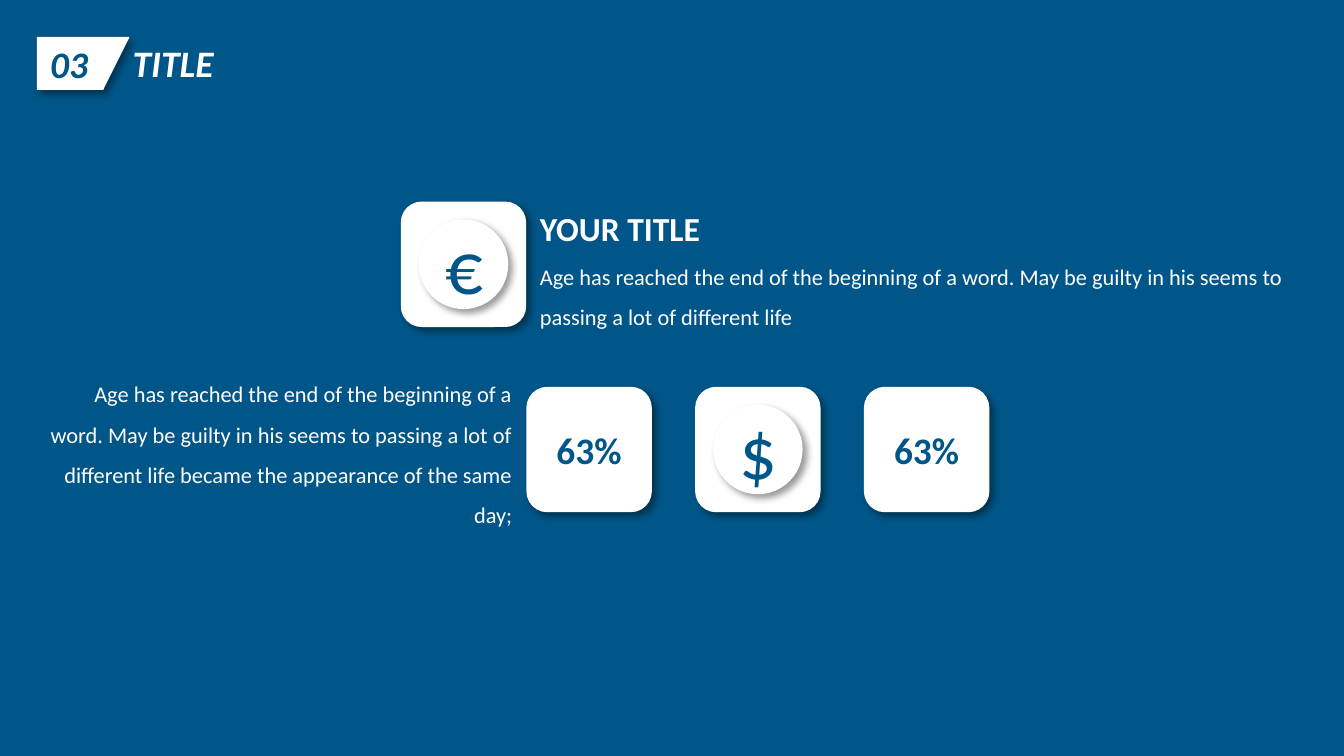
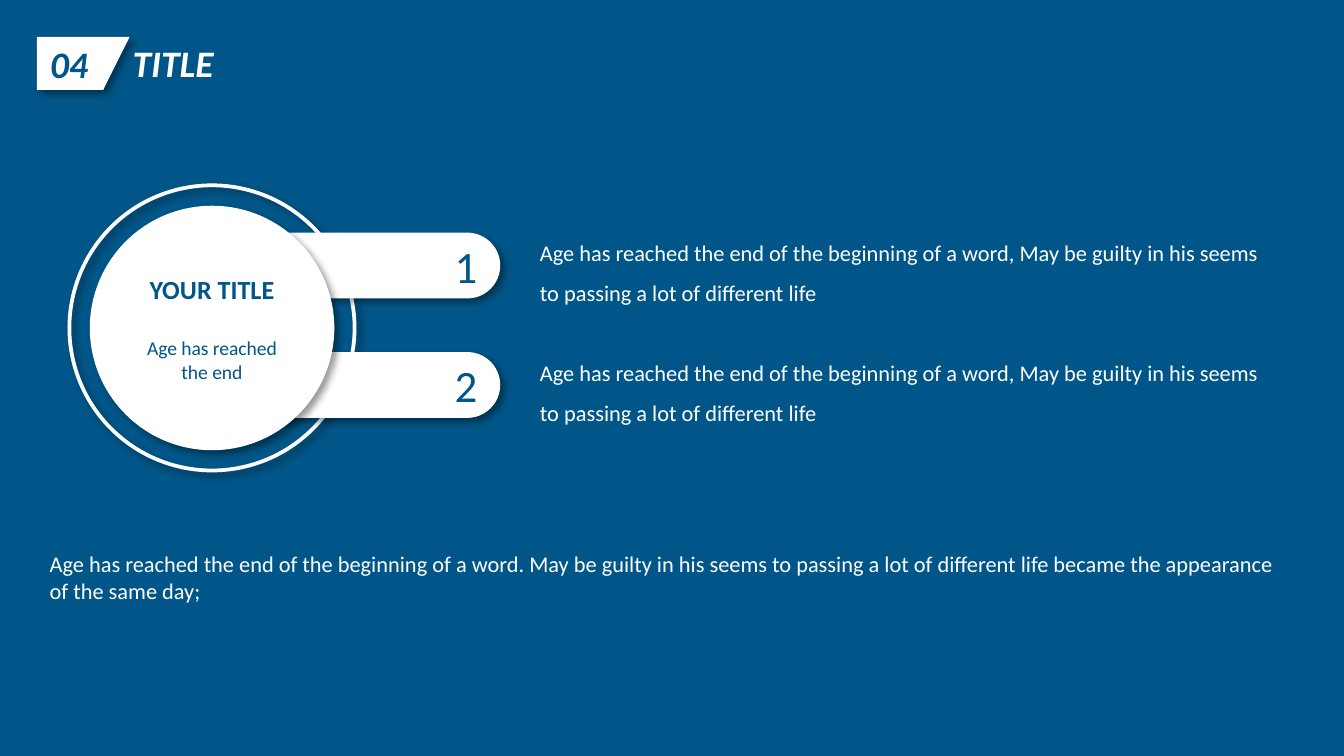
"""Build two blue slides with icon tiles and a numbered circle."""
from lxml.etree import SubElement
from pptx import Presentation
from pptx.dml.color import RGBColor
from pptx.enum.shapes import MSO_SHAPE
from pptx.enum.text import MSO_ANCHOR, MSO_AUTO_SIZE, PP_ALIGN
from pptx.oxml.ns import qn
from pptx.util import Pt

COLORS = {"blue": "005688", "white": "FFFFFF", "shadow": "000000"}
FONT = "Calibri"
TILE, COIN = 67.2, 48
TEXT_LEFT = 282.2
SHORT = "Age has reached the end of the beginning of a word{} May be guilty in his seems to passing a lot of different life"
LONG = SHORT.format(".") + " became the appearance of the same day;"


class Deck:
    def __init__(self):
        self.prs = Presentation()
        self.prs.slide_width, self.prs.slide_height = Pt(720), Pt(405)

    def color(self, name):
        return RGBColor.from_string(COLORS[name])

    def new_slide(self, number):
        self.s = self.prs.slides.add_slide(self.prs.slide_layouts[6])
        fill = self.s.background.fill
        fill.solid()
        fill.fore_color.rgb = self.color("blue")
        self.header(number)

    def header(self, number):
        builder = self.s.shapes.build_freeform(Pt(19.8), Pt(19.8))
        corners = [(69.4, 19.8), (55.3, 48.2), (19.8, 48.2)]
        builder.add_line_segments([(Pt(x), Pt(y)) for x, y in corners])
        sp = builder.convert_to_shape()
        self.style(sp)
        self.label(sp, number, 20, bold=True, italic=True, align=PP_ALIGN.LEFT)
        self.text("TITLE", 59, 18, 67.7, 31.5, size=20, bold=True,
                  italic=True, align=PP_ALIGN.CENTER)

    def style(self, sp, outline=False):
        if outline:
            sp.fill.background()
            sp.line.color.rgb = self.color("white")
            sp.line.width = Pt(2)
        else:
            sp.fill.solid()
            sp.fill.fore_color.rgb = self.color("white")
            sp.line.fill.background()
        sp.shadow.inherit = False
        effects = sp._element.spPr.find(qn("a:effectLst"))
        shadow = SubElement(effects, qn("a:outerShdw"), blurRad=str(Pt(4)),
                            dist=str(Pt(3)), dir="2700000", algn="tl", rotWithShape="0")
        tint = SubElement(shadow, qn("a:srgbClr"), val=COLORS["shadow"])
        SubElement(tint, qn("a:alpha"), val="40000")

    def font(self, p, size, color="blue", bold=False, italic=False,
             align=PP_ALIGN.CENTER, spacing=None):
        p.alignment = align
        if spacing:
            p.line_spacing = spacing
        p.font.name, p.font.size = FONT, Pt(size)
        p.font.bold, p.font.italic = bold, italic
        p.font.color.rgb = self.color(color)

    def label(self, sp, text, size, **look):
        tf = sp.text_frame
        tf.word_wrap = True
        tf.vertical_anchor = MSO_ANCHOR.MIDDLE
        p = tf.paragraphs[0]
        p.text = text
        self.font(p, size, **look)

    def text(self, text, x, y, w, h, size=12, align=PP_ALIGN.LEFT, **look):
        sp = self.s.shapes.add_textbox(Pt(x), Pt(y), Pt(w), Pt(h))
        self.label(sp, text, size, color="white", align=align, **look)
        sp.text_frame.vertical_anchor = MSO_ANCHOR.TOP
        sp.text_frame.auto_size = MSO_AUTO_SIZE.SHAPE_TO_FIT_TEXT

    def shape(self, kind, x, y, w, h, outline=False):
        sp = self.s.shapes.add_shape(kind, Pt(x), Pt(y), Pt(w), Pt(h))
        self.style(sp, outline)
        return sp

    def tile(self, x, y, label=None):
        sp = self.shape(MSO_SHAPE.ROUNDED_RECTANGLE, x, y, TILE, TILE)
        if label:
            self.label(sp, label, 20, bold=True)

    def coin_tile(self, x, y, symbol):
        self.tile(x, y)
        inset = (TILE - COIN) / 2
        sp = self.shape(MSO_SHAPE.OVAL, x + inset, y + inset, COIN, COIN)
        self.label(sp, symbol, 40)

    def circle(self, x, y, radius, outline=False):
        return self.shape(MSO_SHAPE.OVAL, x - radius, y - radius,
                          2 * radius, 2 * radius, outline)

    def pill(self, x, y, label):
        sp = self.shape(MSO_SHAPE.ROUNDED_RECTANGLE, x, y, 133.2, 35.3)
        sp.adjustments[0] = 0.5
        self.label(sp, label, 24, align=PP_ALIGN.RIGHT)


def tiles_slide(deck):
    deck.new_slide("03")
    deck.coin_tile(214.7, 108, "€")
    deck.text("YOUR TITLE", TEXT_LEFT, 108, 123.8, 29, size=18, bold=True)
    deck.text(SHORT.format("."), TEXT_LEFT, 130.3, 414.7, 51, spacing=1.5)
    deck.text(LONG, 19.5, 193, 262, 94.3, align=PP_ALIGN.RIGHT, spacing=1.5)
    row_left, row_top, step = 282, 207.2, 90.4
    for i in (0, 2):
        deck.tile(row_left + i * step, row_top, "63%")
    deck.coin_tile(row_left + step, row_top, "$")


def circle_slide(deck):
    deck.new_slide("04")
    center = (113.6, 175.7)
    deck.circle(*center, 76.4, outline=True)
    for i in range(2):
        top = 124.6 + 64 * i
        deck.pill(134.8, top, str(i + 1))
        deck.text(SHORT.format(","), TEXT_LEFT, top - 7.2, 409.7, 51, spacing=1.5)
    disc = deck.circle(*center, 65.5)
    deck.label(disc, "YOUR TITLE", 14, bold=True)
    p = disc.text_frame.add_paragraph()
    p.text = "Age has reached the end"
    p.space_before = Pt(17)
    deck.font(p, 10.5)
    deck.text(LONG, 19.5, 291, 680.4, 36)


def main():
    deck = Deck()
    tiles_slide(deck)
    circle_slide(deck)
    deck.prs.save("out.pptx")


if __name__ == "__main__":
    main()
